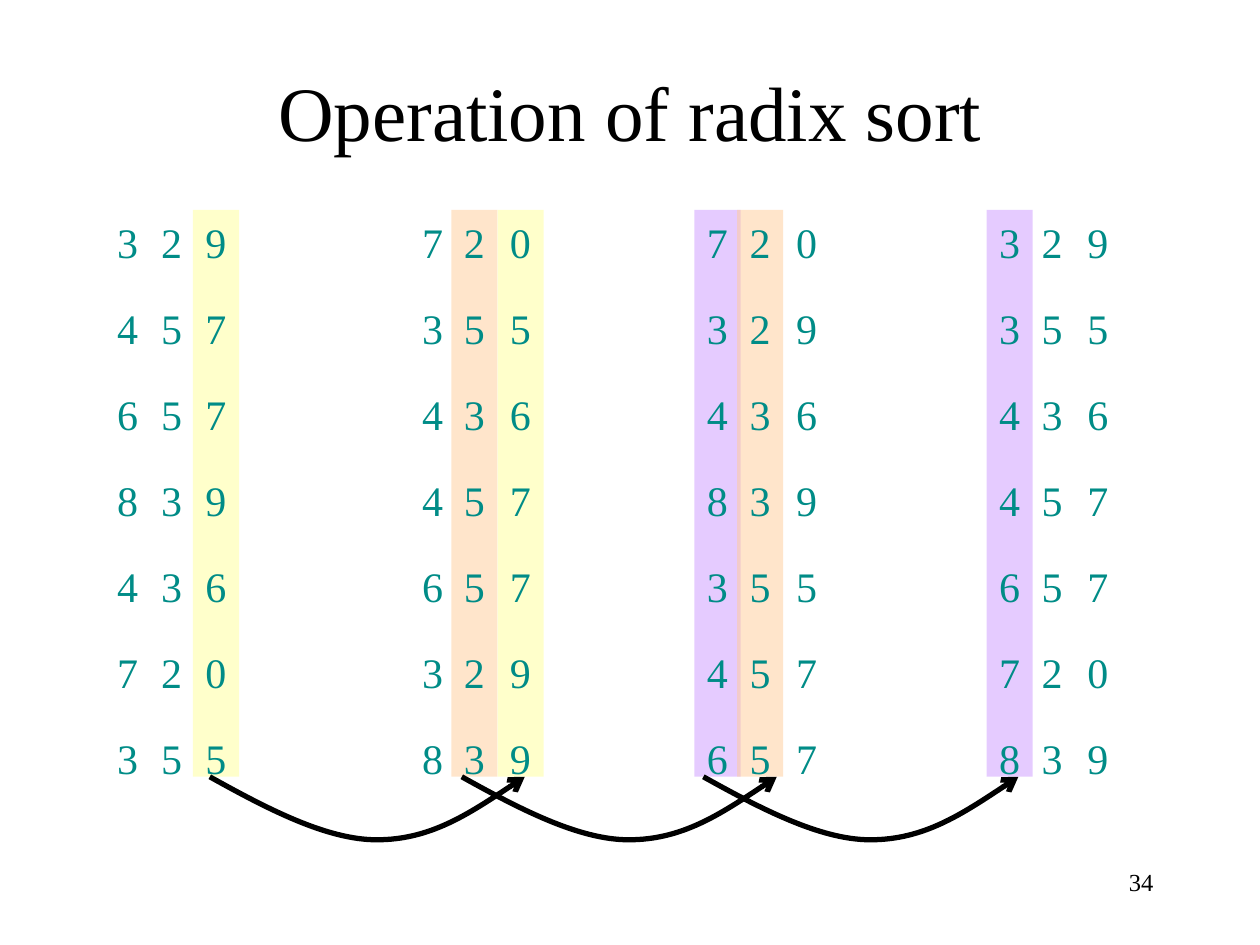
from dataclasses import dataclass

from lxml.etree import SubElement
from pptx import Presentation
from pptx.dml.color import RGBColor as Color
from pptx.enum.shapes import MSO_SHAPE as Preset
from pptx.enum.text import MSO_ANCHOR as Anchor, MSO_AUTO_SIZE as AutoSize, PP_ALIGN as Align
from pptx.oxml.ns import qn
from pptx.util import Cm, Pt


@dataclass(frozen=True)
class Theme:
    font: str = "Times New Roman"
    ink: str = "000000"
    digit: str = "008C87"
    ones: str = "FFFF99"
    tens: str = "FFCC99"
    hundreds: str = "CC99FF"
    title_size: float = 44
    digit_size: float = 24
    number_size: float = 14
    row_gap: float = 20.4
    arrow_width: float = 3


THEME = Theme()
TITLE = "Operation of radix sort"
SLIDE_NUMBER = "34"
STAGES = [
    {"numbers": ["329", "457", "657", "839", "436", "720", "355"],
     "lefts": (2.11, 3, 3.89), "bands": (None, None, THEME.ones), "arrow": None},
    {"numbers": ["720", "355", "436", "457", "657", "329", "839"],
     "lefts": (8.26, 9.1, 10.03), "bands": (None, THEME.tens, THEME.ones), "arrow": 4.23},
    {"numbers": ["720", "329", "436", "839", "355", "457", "657"],
     "lefts": (14, 14.86, 15.8), "bands": (THEME.hundreds, THEME.tens, None), "arrow": 9.31},
    {"numbers": ["329", "355", "436", "457", "657", "720", "839"],
     "lefts": (19.89, 20.75, 21.67), "bands": (THEME.hundreds, None, None), "arrow": 14.18},
]
COLUMN_TOP, COLUMN_WIDTH, COLUMN_HEIGHT = 4.23, 0.93, 11.43
ARROW_WIDTH, ARROW_HEIGHT = 6.35, 1.27
ARROW_CURVE = [(0.18, 0.5), (0.37, 1), (0.53, 1), (0.7, 1), (0.85, 0.5), (1, 0)]


def add_run(paragraph, text, size, color):
    run = paragraph.add_run()
    run.text = text
    run.font.name = THEME.font
    run.font.size = Pt(size)
    run.font.color.rgb = Color.from_string(color)


def add_label(slide, text, box, size, align, anchor):
    shape = slide.shapes.add_textbox(*map(Cm, box))
    frame = shape.text_frame
    frame.word_wrap = True
    frame.vertical_anchor = anchor
    paragraph = frame.paragraphs[0]
    paragraph.alignment = align
    add_run(paragraph, text, size, THEME.ink)


def add_column(group, digits, left, band):
    box = [Cm(value) for value in (left, COLUMN_TOP, COLUMN_WIDTH, COLUMN_HEIGHT)]
    if band:
        shape = group.shapes.add_shape(Preset.RECTANGLE, *box)
        shape.shadow.inherit = False
        shape.fill.solid()
        shape.fill.fore_color.rgb = Color.from_string(band)
        SubElement(shape.fill._xPr.find(".//" + qn("a:srgbClr")), qn("a:alpha"), val="50000")
        shape.line.fill.background()
    else:
        shape = group.shapes.add_textbox(*box)
    frame = shape.text_frame
    frame.word_wrap = False
    frame.auto_size = AutoSize.SHAPE_TO_FIT_TEXT
    frame.vertical_anchor = Anchor.TOP
    for row, digit in enumerate(digits):
        paragraph = frame.add_paragraph() if row else frame.paragraphs[0]
        paragraph.alignment = Align.LEFT
        if row:
            paragraph.space_before = Pt(THEME.row_gap)
        add_run(paragraph, digit, THEME.digit_size, THEME.digit)


def add_curved_arrow(group, left):
    top = COLUMN_TOP + COLUMN_HEIGHT
    points = [(Cm(left + x * ARROW_WIDTH), Cm(top + y * ARROW_HEIGHT)) for x, y in ARROW_CURVE]
    builder = group.shapes.build_freeform(Cm(left), Cm(top))
    builder.add_line_segments(points, close=False)
    shape = builder.convert_to_shape()
    segments = list(shape._element.iter(qn("a:lnTo")))
    outline = segments[0].getparent()
    for first in range(0, len(segments), 3):
        curve = SubElement(outline, qn("a:cubicBezTo"))
        for segment in segments[first:first + 3]:
            curve.append(segment[0])
            outline.remove(segment)
    shape.shadow.inherit = False
    shape.fill.background()
    shape.line.color.rgb = Color.from_string(THEME.ink)
    shape.line.width = Pt(THEME.arrow_width)
    SubElement(shape.line._get_or_add_ln(), qn("a:tailEnd"), type="arrow")


def main():
    presentation = Presentation()
    presentation.slide_width, presentation.slide_height = Cm(25.4), Cm(19.05)
    slide = presentation.slides.add_slide(presentation.slide_layouts[6])
    add_label(slide, SLIDE_NUMBER, (18.21, 17.35, 5.29, 1.27), THEME.number_size,
              Align.RIGHT, Anchor.TOP)
    add_label(slide, TITLE, (1.91, 0.64, 21.59, 3.18), THEME.title_size,
              Align.CENTER, Anchor.MIDDLE)
    for stage in STAGES:
        group = slide.shapes.add_group_shape()
        for digits, left, band in zip(zip(*stage["numbers"]), stage["lefts"], stage["bands"]):
            add_column(group, digits, left, band)
        if stage["arrow"] is not None:
            add_curved_arrow(group, stage["arrow"])
    presentation.save("out.pptx")


if __name__ == "__main__":
    main()
